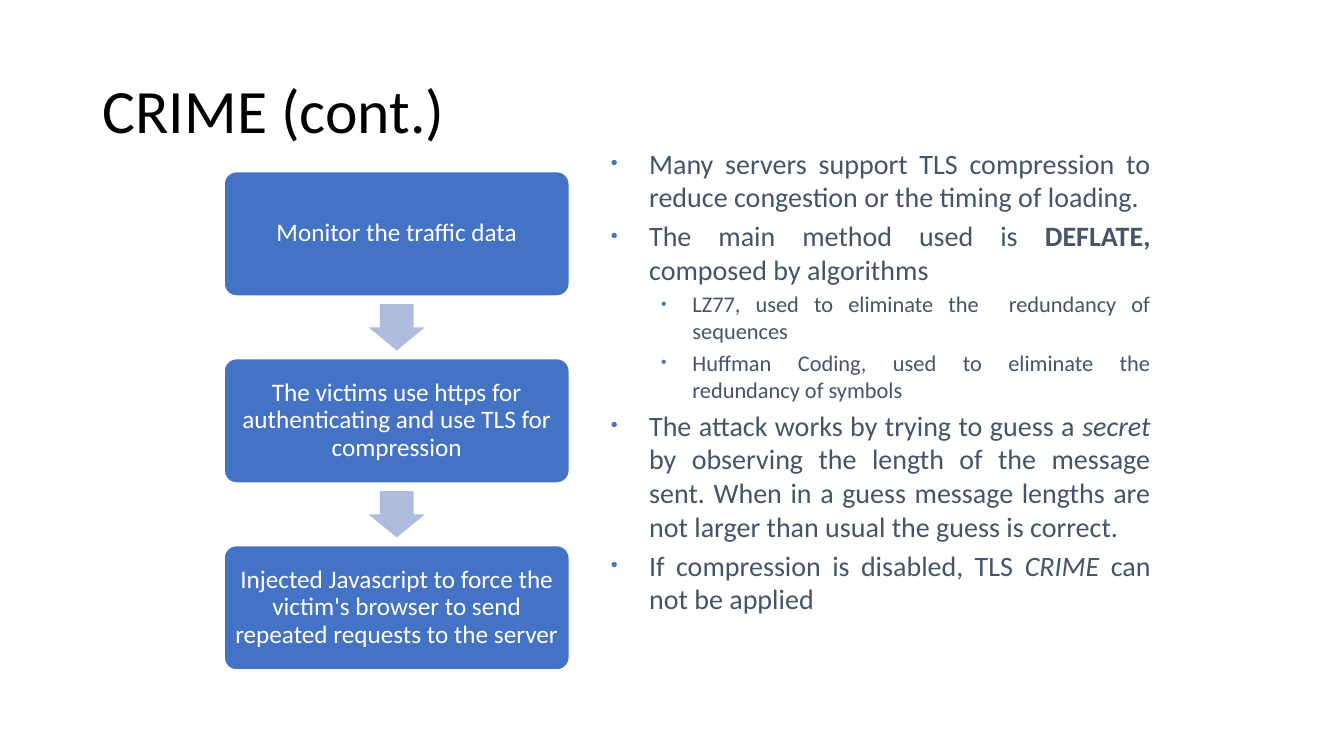
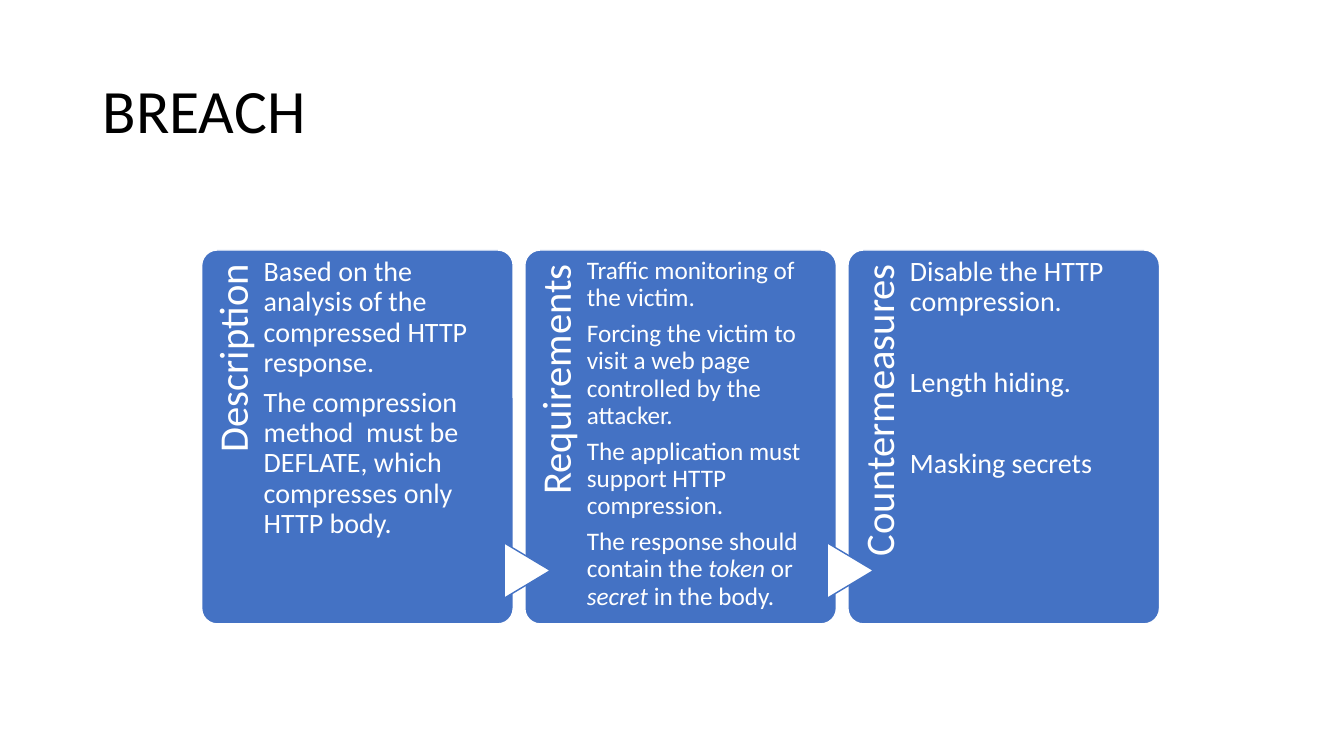
"""Build two slides on the CRIME and BREACH attacks."""
from lxml.etree import SubElement
from pptx import Presentation
from pptx.dml.color import RGBColor
from pptx.enum.shapes import MSO_SHAPE
from pptx.enum.text import MSO_ANCHOR, PP_ALIGN
from pptx.oxml.ns import qn
from pptx.util import Inches, Pt

BLACK = RGBColor(0x00, 0x00, 0x00)
WHITE = RGBColor(0xFF, 0xFF, 0xFF)
BLUE = RGBColor(0x44, 0x72, 0xC4)
PALE = RGBColor(0xB0, 0xBC, 0xDE)
SLATE = RGBColor(0x44, 0x54, 0x6A)
FACE = "Calibri"

STEPS = [
    "Monitor the traffic data",
    "The victims use https for authenticating and use TLS for compression",
    "Injected Javascript to force the victim's browser to send repeated "
    "requests to the server",
]

POINTS = [
    (0, ["Many servers support TLS compression to reduce congestion or the "
         "timing of loading."]),
    (0, ["The main method used is ", ("DEFLATE, ", "bold"),
         "composed by algorithms"]),
    (1, ["LZ77, used to eliminate the  redundancy of sequences"]),
    (1, ["Huffman Coding, used to eliminate the redundancy of symbols"]),
    (0, ["The attack works by trying to guess a ", ("secret", "italic"),
         " by observing the length of the message sent. When in a guess "
         "message lengths are not larger than usual the guess is correct."]),
    (0, ["If compression is disabled, TLS ", ("CRIME ", "italic"),
         "can not be applied"]),
]
LEVELS = [
    {"size": 20, "left": 0.38, "hang": 0.38},
    {"size": 16, "left": 0.81, "hang": 0.31},
]

CARDS = [
    ("Description", 20, 7, [
        ["Based on the analysis of the compressed HTTP response."],
        ["The compression method  must be DEFLATE, which compresses only "
         "HTTP body."],
    ]),
    ("Requirements", 18, 6.3, [
        ["Traffic monitoring of the victim."],
        ["Forcing the victim to visit a web page controlled by the attacker."],
        ["The application must support HTTP compression."],
        ["The response should contain the ", ("token", "italic"), " or ",
         ("secret", "italic"), " in the body."],
    ]),
    ("Countermeasures", 20, 36, [
        ["Disable the HTTP compression."],
        ["Length hiding."],
        ["Masking secrets"],
    ]),
]


def format(thing, values):
    """Set each named value on the thing."""
    for name, value in values.items():
        setattr(thing, name, value)


def set_frame(frame, inset, anchor=MSO_ANCHOR.TOP):
    """Set wrapping, anchor and the left, top, right and bottom insets."""
    sides = ("margin_left", "margin_top", "margin_right", "margin_bottom")
    values = {side: Inches(gap) for side, gap in zip(sides, inset)}
    format(frame, {"word_wrap": True, "vertical_anchor": anchor, **values})


def write(frame, index, runs, size, color, **layout):
    """Write one paragraph from plain strings and (text, style) pairs."""
    para = frame.paragraphs[0] if index == 0 else frame.add_paragraph()
    format(para, {"alignment": PP_ALIGN.LEFT, **layout})
    for part in runs:
        text, style = (part, None) if isinstance(part, str) else part
        run = para.add_run()
        run.text = text
        format(run.font, {"name": FACE, "size": Pt(size)})
        run.font.color.rgb = color
        if style:
            setattr(run.font, style, True)
    return para


def add_box(slide, spot, inset=(0.1, 0.05, 0.1, 0.05), anchor=MSO_ANCHOR.TOP):
    """Add an empty text box."""
    box = slide.shapes.add_textbox(*map(Inches, spot))
    set_frame(box.text_frame, inset, anchor)
    return box


def add_form(slide, kind, spot, fill, line=None, width=1, adjust=(), turn=0):
    """Add a filled preset shape."""
    form = slide.shapes.add_shape(kind, *map(Inches, spot))
    form.shadow.inherit = False
    form.rotation = turn
    form.fill.solid()
    form.fill.fore_color.rgb = fill
    if line is None:
        form.line.fill.background()
    else:
        form.line.color.rgb = line
        form.line.width = Pt(width)
    for index, value in enumerate(adjust):
        form.adjustments[index] = value
    return form


def add_page(deck, title):
    """Add a blank slide with a title."""
    slide = deck.slides.add_slide(deck.slide_layouts[6])
    box = add_box(slide, (0.92, 0.4, 11.5, 1.45), anchor=MSO_ANCHOR.MIDDLE)
    write(box.text_frame, 0, [title], 44, BLACK, line_spacing=0.9)
    return slide


def add_bullet(para, left, hang):
    """Give a paragraph a small blue bullet and a hanging indent."""
    props = para._p.get_or_add_pPr()
    props.set("marL", str(Inches(left)))
    props.set("indent", str(-Inches(hang)))
    color = SubElement(props, qn("a:buClr"))
    SubElement(color, qn("a:srgbClr"), val=str(BLUE))
    SubElement(props, qn("a:buSzPct"), val="70000")
    SubElement(props, qn("a:buFont"), typeface="Arial")
    SubElement(props, qn("a:buChar"), char="•")


def add_steps(slide):
    """Stack the steps with an arrow centred in each gap."""
    left, top, wide, high = 2.22, 1.7, 3.43, 1.24
    pitch = (5.41 - top) / 2
    across, down = 0.56, 0.46
    for index, text in enumerate(STEPS):
        y = top + index * pitch
        if index:
            spot = (left + (wide - across) / 2,
                    y - (pitch - high + down) / 2, across, down)
            add_form(slide, MSO_SHAPE.DOWN_ARROW, spot, PALE, adjust=(0.6, 0.5))
        step = add_form(slide, MSO_SHAPE.ROUNDED_RECTANGLE,
                        (left, y, wide, high), BLUE, WHITE, 1.5, (0.1,))
        set_frame(step.text_frame, (0.07,) * 4, MSO_ANCHOR.MIDDLE)
        write(step.text_frame, 0, [text], 18, WHITE,
              alignment=PP_ALIGN.CENTER, line_spacing=0.9)


def add_points(slide):
    """Add the bullet list."""
    frame = add_box(slide, (5.96, 1.4, 5.55, 6.08)).text_frame
    for index, (level, runs) in enumerate(POINTS):
        style = LEVELS[level]
        para = write(frame, index, runs, style["size"], SLATE, level=level,
                     alignment=PP_ALIGN.JUSTIFY,
                     space_before=Pt(style["size"] * 0.2))
        add_bullet(para, style["left"], style["hang"])


def add_cards(slide):
    """Add the row of cards with upright labels and markers between."""
    left, top, wide, high = 2, 2.48, 3.09, 3.71
    pitch = (8.41 - left) / 2
    length, band = 3.04, 0.62
    for index, (label, size, after, body) in enumerate(CARDS):
        x = left + index * pitch
        card = add_form(slide, MSO_SHAPE.ROUNDED_RECTANGLE,
                        (x, top, wide, high), BLUE, WHITE, 1, (0.05,))
        set_frame(card.text_frame, (0.57, 0.03, 0.11, 0))
        for row, runs in enumerate(body):
            write(card.text_frame, row, runs, size, WHITE,
                  line_spacing=0.9, space_after=Pt(after))
        shift = (length - band) / 2
        side = add_box(slide, (x - shift, top + shift, length, band),
                       (0, 0.11, 0.14, 0))
        side.rotation = 270
        write(side.text_frame, 0, [label], 29, WHITE,
              alignment=PP_ALIGN.RIGHT, line_spacing=0.9)
        if index:
            add_form(slide, MSO_SHAPE.FLOWCHART_EXTRACT,
                     (x - 0.25, 5.43, 0.55, 0.46), WHITE, BLUE, turn=90)


def main():
    """Build and save the deck."""
    deck = Presentation()
    format(deck, {"slide_width": Inches(13.33), "slide_height": Inches(7.5)})
    crime = add_page(deck, "CRIME (cont.)")
    add_steps(crime)
    add_points(crime)
    add_cards(add_page(deck, "BREACH"))
    deck.save("out.pptx")


if __name__ == "__main__":
    main()
